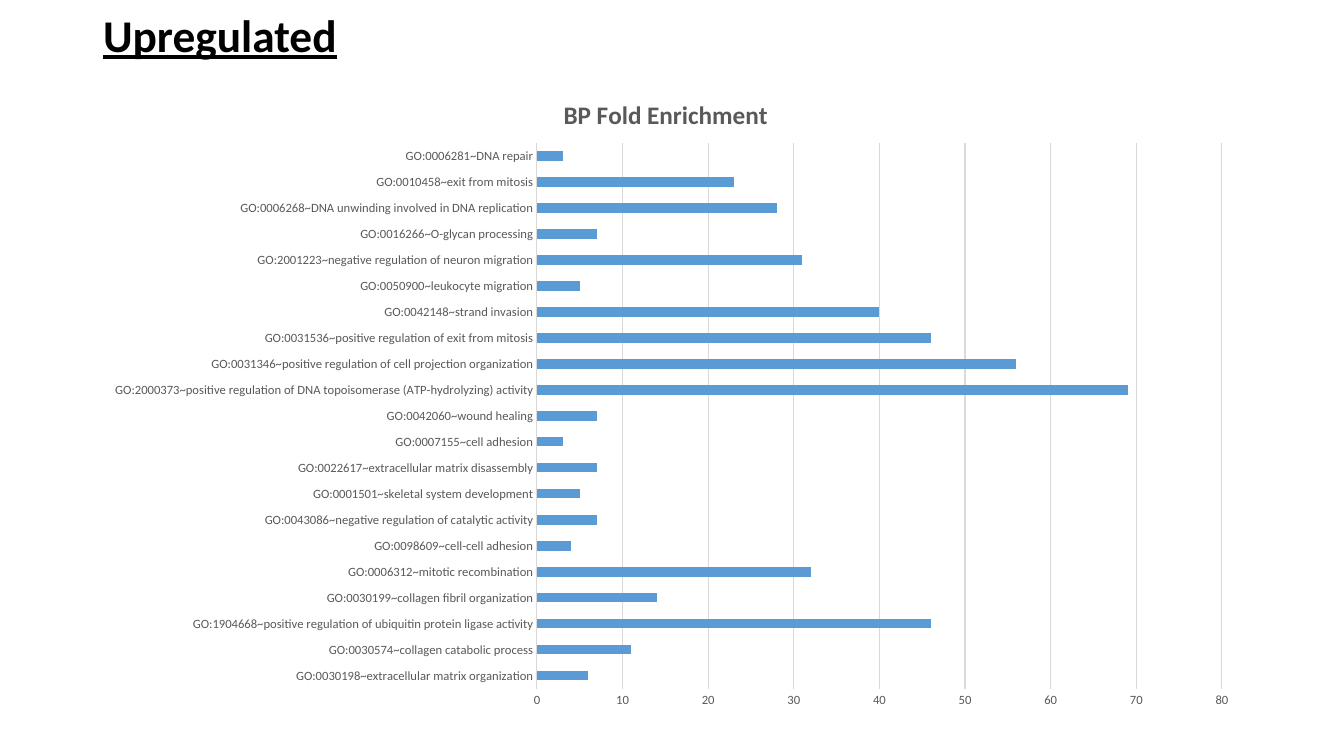
from lxml import etree
from pptx import Presentation
from pptx.chart.data import CategoryChartData
from pptx.dml.color import RGBColor
from pptx.enum.chart import XL_CHART_TYPE as ChartType, XL_TICK_MARK as TickMark
from pptx.enum.text import MSO_ANCHOR as Anchor, MSO_AUTO_SIZE as AutoSize, PP_ALIGN as Align
from pptx.oxml.ns import qn
from pptx.util import Pt

PX = 12192000 / 1344  # EMU per px
FONT = "Calibri"
GREY, RULE, BAR = "595959", "D9D9D9", "5B9BD5"

# Enrichment per process, from the bottom bar up
PROCESSES = [
    ("GO:0030198~extracellular matrix organization", 6),
    ("GO:0030574~collagen catabolic process", 11),
    ("GO:1904668~positive regulation of ubiquitin protein ligase activity", 46),
    ("GO:0030199~collagen fibril organization", 14),
    ("GO:0006312~mitotic recombination", 32),
    ("GO:0098609~cell-cell adhesion", 4),
    ("GO:0043086~negative regulation of catalytic activity", 7),
    ("GO:0001501~skeletal system development", 5),
    ("GO:0022617~extracellular matrix disassembly", 7),
    ("GO:0007155~cell adhesion", 3),
    ("GO:0042060~wound healing", 7),
    ("GO:2000373~positive regulation of DNA topoisomerase (ATP-hydrolyzing) activity", 69),
    ("GO:0031346~positive regulation of cell projection organization", 56),
    ("GO:0031536~positive regulation of exit from mitosis", 46),
    ("GO:0042148~strand invasion", 40),
    ("GO:0050900~leukocyte migration", 5),
    ("GO:2001223~negative regulation of neuron migration", 31),
    ("GO:0016266~O-glycan processing", 7),
    ("GO:0006268~DNA unwinding involved in DNA replication", 28),
    ("GO:0010458~exit from mitosis", 23),
    ("GO:0006281~DNA repair", 3),
]


def px(length):
    return round(length * PX)


def color(hex_code):
    return RGBColor.from_string(hex_code)


def style_font(font, size, hex_code, bold=False):
    font.name, font.size, font.bold = FONT, Pt(size), bold
    font.color.rgb = color(hex_code)


def style_line(line, hex_code):
    line.color.rgb = color(hex_code)
    line.width = Pt(0.75)


def set_layout(parent, before, **settings):
    """Give a chart part a manual layout, placed just ahead of the tag `before`."""
    for old in parent.findall(qn("c:layout")):
        parent.remove(old)
    layout = etree.Element(qn("c:layout"))
    manual = etree.SubElement(layout, qn("c:manualLayout"))
    for tag, value in settings.items():
        etree.SubElement(manual, qn(f"c:{tag}")).set("val", str(value))
    parent.find(qn(before)).addprevious(layout)


def add_heading(slide, left, top, width, height):
    heading = slide.shapes.title
    heading.left, heading.top, heading.width, heading.height = map(px, (left, top, width, height))
    frame = heading.text_frame
    frame.text = "Upregulated"
    frame.auto_size = AutoSize.NONE
    frame.vertical_anchor = Anchor.MIDDLE
    paragraph = frame.paragraphs[0]
    paragraph.alignment = Align.LEFT
    paragraph.line_spacing = 0.9
    font = paragraph.runs[0].font
    style_font(font, 32.4, "000000", bold=True)
    font.underline = True


def add_enrichment_chart(slide, left, top, width, height):
    data = CategoryChartData(number_format="General")
    data.categories = [process for process, _ in PROCESSES]
    data.add_series("Series 1", [fold for _, fold in PROCESSES])
    chart = slide.shapes.add_chart(
        ChartType.BAR_CLUSTERED, *map(px, (left, top, width, height)), data).chart
    style_font(chart.font, 10, "000000")
    chart.has_legend = False

    # Chart title
    chart.has_title = True
    title = chart.chart_title
    title.include_in_layout = False
    title.text_frame.text = "BP Fold Enrichment"
    style_font(title.text_frame.paragraphs[0].runs[0].font, 18, GREY, bold=True)
    set_layout(title._element, "c:overlay", xMode="edge", yMode="edge",
               x=round(466 / width, 4), y=round(25 / height, 4))

    # Bars
    plot = chart.plots[0]
    plot.gap_width = 182
    plot.vary_by_categories = False
    fill = plot.series[0].format.fill
    fill.solid()
    fill.fore_color.rgb = color(BAR)
    set_layout(chart._chartSpace.chart.plotArea, "c:barChart",
               layoutTarget="inner", xMode="edge", yMode="edge",
               x=round(444 / width, 4), y=round(75 / height, 4),
               w=round(685 / width, 4), h=round(546 / height, 4))

    # Axes
    processes, folds = chart.category_axis, chart.value_axis
    for axis in (processes, folds):
        axis.major_tick_mark = axis.minor_tick_mark = TickMark.NONE
        style_font(axis.tick_labels.font, 9, GREY)
    style_line(processes.format.line, RULE)
    folds.format.line.fill.background()
    folds.minimum_scale, folds.maximum_scale, folds.major_unit = 0, 80, 10
    folds.has_major_gridlines = True
    style_line(folds.major_gridlines.format.line, RULE)


def main():
    deck = Presentation()
    deck.slide_width, deck.slide_height = px(1344), px(756)
    slide = deck.slides.add_slide(deck.slide_layouts.get_by_name("Title Only"))
    add_heading(slide, 93, 10, 1159, 56)
    add_enrichment_chart(slide, 93, 68, 1159, 653)
    deck.save("out.pptx")


if __name__ == "__main__":
    main()
